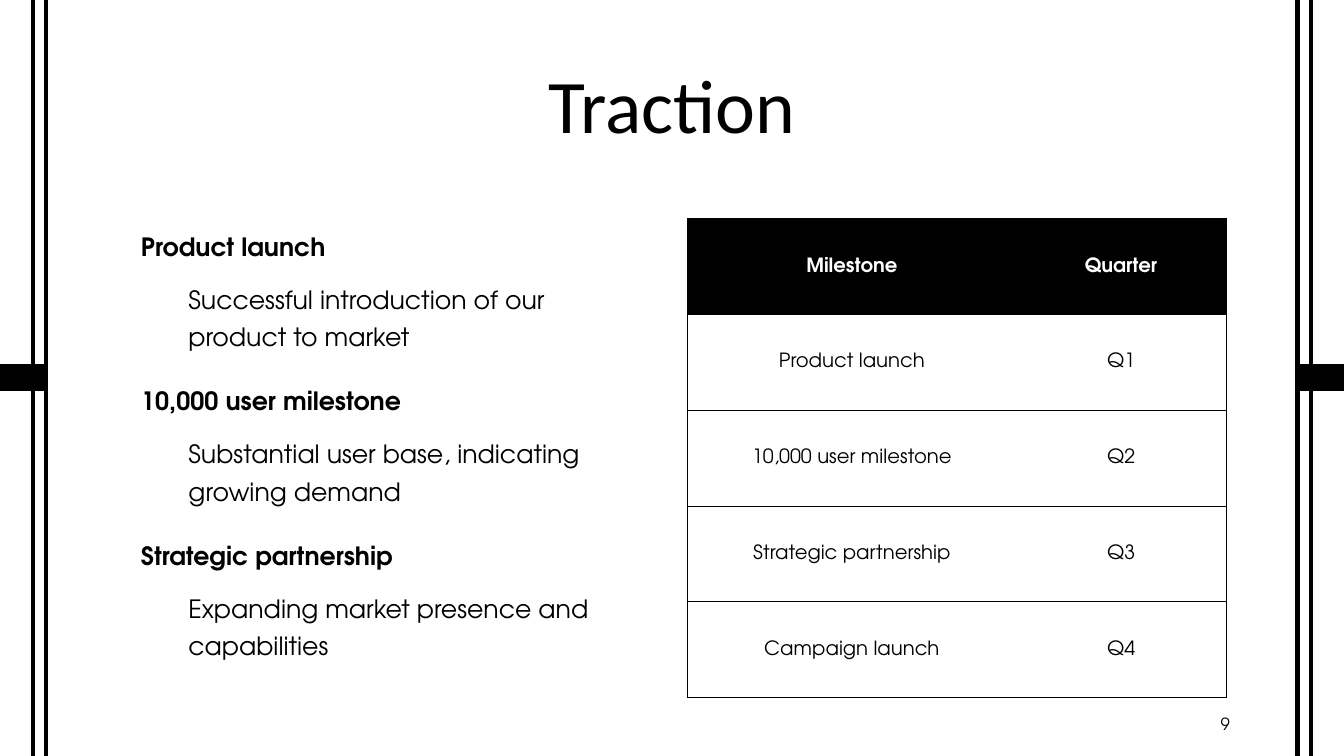
from lxml.etree import SubElement
from pptx import Presentation
from pptx.dml.color import RGBColor
from pptx.enum.shapes import MSO_CONNECTOR as Connector, MSO_SHAPE as Shape
from pptx.enum.text import MSO_ANCHOR as Anchor, MSO_AUTO_SIZE as AutoSize, PP_ALIGN as Align
from pptx.oxml.ns import qn
from pptx.util import Emu, Pt

# Content
TITLE = "Traction"
PAGE_NUMBER = "9"
POINTS = [
    ("Product launch", "Successful introduction of our product to market"),
    ("10,000 user milestone", "Substantial user base, indicating growing demand"),
    ("Strategic partnership", "Expanding market presence and capabilities"),
]
MILESTONES = [
    ("Milestone", "Quarter"),
    ("Product launch", "Q1"),
    ("10,000 user milestone", "Q2"),
    ("Strategic partnership", "Q3"),
    ("Campaign launch", "Q4"),
]

# Look and layout, in px at 100 to the inch
BLACK, WHITE = "000000", "FFFFFF"
HEAD_FONT, BODY_FONT = "Calibri", "TeX Gyre Adventor"
WIDTH, HEIGHT = 1333, 750
RAILS = (33, 46)
CLASP_WIDTH, CLASP_HEIGHT = 46, 25
TITLE_BOX = (75, 33, 1183, 154)
POINTS_BOX = (130, 217, 521, 475)
NUMBER_BOX = (1112, 700, 121, 35)
TABLE_LEFT, TABLE_TOP = 682, 217
COLUMNS, ROW_HEIGHT = (326, 208), 95
DETAIL_INDENT = 47
WIDE_INSETS, INSETS = (13, 7, 13, 7), (10, 5, 10, 5)


def px(length):
    return Emu(length * 9144)


def color(value):
    return RGBColor.from_string(value)


def set_values(target, values):
    for name, value in values.items():
        setattr(target, name, value)


def set_frame(frame, insets, anchor):
    sides = ("margin_left", "margin_top", "margin_right", "margin_bottom")
    set_values(frame, dict(zip(sides, map(px, insets))))
    set_values(frame, {"word_wrap": True, "auto_size": AutoSize.NONE, "vertical_anchor": anchor})


def write(para, text, size, font=BODY_FONT, ink=BLACK, bold=False, **layout):
    set_values(para, layout)
    span = para.add_run()
    span.text = text
    set_values(span.font, {"name": font, "size": Pt(size), "bold": bold})
    span.font.color.rgb = color(ink)


def set_border(cell, side, visible):
    line = SubElement(cell._tc.get_or_add_tcPr(), qn(f"a:ln{side}"), w=str(Pt(0.5)))
    if visible:
        fill = SubElement(line, qn("a:solidFill"))
        SubElement(fill, qn("a:srgbClr"), val=BLACK)
    else:
        SubElement(line, qn("a:noFill"))


def add_frame_lines(page):
    for x in [*RAILS, *(WIDTH - rail for rail in RAILS)]:
        rail = page.shapes.add_connector(Connector.STRAIGHT, px(x), 0, px(x), px(HEIGHT))
        rail.line.color.rgb = color(BLACK)
        rail.line.width = Pt(3)
        SubElement(rail._element.spPr, qn("a:effectLst"))
    top = (HEIGHT - CLASP_HEIGHT) // 2
    for left in (0, WIDTH - CLASP_WIDTH):
        clasp = page.shapes.add_shape(
            Shape.RECTANGLE, *map(px, (left, top, CLASP_WIDTH, CLASP_HEIGHT)))
        clasp.shadow.inherit = False
        clasp.fill.solid()
        clasp.fill.fore_color.rgb = color(BLACK)
        clasp.line.color.rgb = color(BLACK)
        clasp.line.width = Pt(1)


def add_title(page):
    title = page.shapes.title
    set_values(title, dict(zip(("left", "top", "width", "height"), map(px, TITLE_BOX))))
    set_frame(title.text_frame, WIDE_INSETS, Anchor.MIDDLE)
    write(title.text_frame.paragraphs[0], TITLE, 54, HEAD_FONT,
          alignment=Align.CENTER, line_spacing=0.85)


def add_points(page):
    frame = page.shapes.add_textbox(*map(px, POINTS_BOX)).text_frame
    set_frame(frame, INSETS, Anchor.TOP)
    for index, (heading, detail) in enumerate(POINTS):
        para = frame.add_paragraph() if index else frame.paragraphs[0]
        write(para, heading, 18, bold=True, line_spacing=1.25,
              space_before=Pt(18.7 if index else 0))
        para = frame.add_paragraph()
        write(para, detail, 18, level=1, line_spacing=1.25, space_before=Pt(10.7))
        para._p.get_or_add_pPr().set("marL", str(px(DETAIL_INDENT)))


def add_milestones(page):
    size = (sum(COLUMNS), ROW_HEIGHT * len(MILESTONES))
    table = page.shapes.add_table(
        len(MILESTONES), len(COLUMNS), *map(px, (TABLE_LEFT, TABLE_TOP, *size))).table
    table.horz_banding = False
    for column, width in zip(table.columns, COLUMNS):
        column.width = px(width)
    for r, values in enumerate(MILESTONES):
        table.rows[r].height = px(ROW_HEIGHT)
        header = r == 0
        for c, text in enumerate(values):
            cell = table.cell(r, c)
            cell.vertical_anchor = Anchor.MIDDLE
            # Outer edges and row rules show; the column rule does not
            for side, visible in (("L", c == 0), ("R", c == len(COLUMNS) - 1),
                                  ("T", True), ("B", True)):
                set_border(cell, side, visible)
            if header:
                cell.fill.solid()
                cell.fill.fore_color.rgb = color(BLACK)
            else:
                cell.fill.background()
            write(cell.text_frame.paragraphs[0], text, 14, ink=WHITE if header else BLACK,
                  bold=header, alignment=Align.CENTER)


def add_page_number(page):
    frame = page.shapes.add_textbox(*map(px, NUMBER_BOX)).text_frame
    set_frame(frame, WIDE_INSETS, Anchor.BOTTOM)
    write(frame.paragraphs[0], PAGE_NUMBER, 12, alignment=Align.RIGHT)


def main():
    deck = Presentation()
    set_values(deck, {"slide_width": px(WIDTH), "slide_height": px(HEIGHT)})
    page = deck.slides.add_slide(deck.slide_layouts[5])
    page.background.fill.solid()
    page.background.fill.fore_color.rgb = color(WHITE)
    add_frame_lines(page)
    add_title(page)
    add_points(page)
    add_milestones(page)
    add_page_number(page)
    deck.save("out.pptx")


if __name__ == "__main__":
    main()
